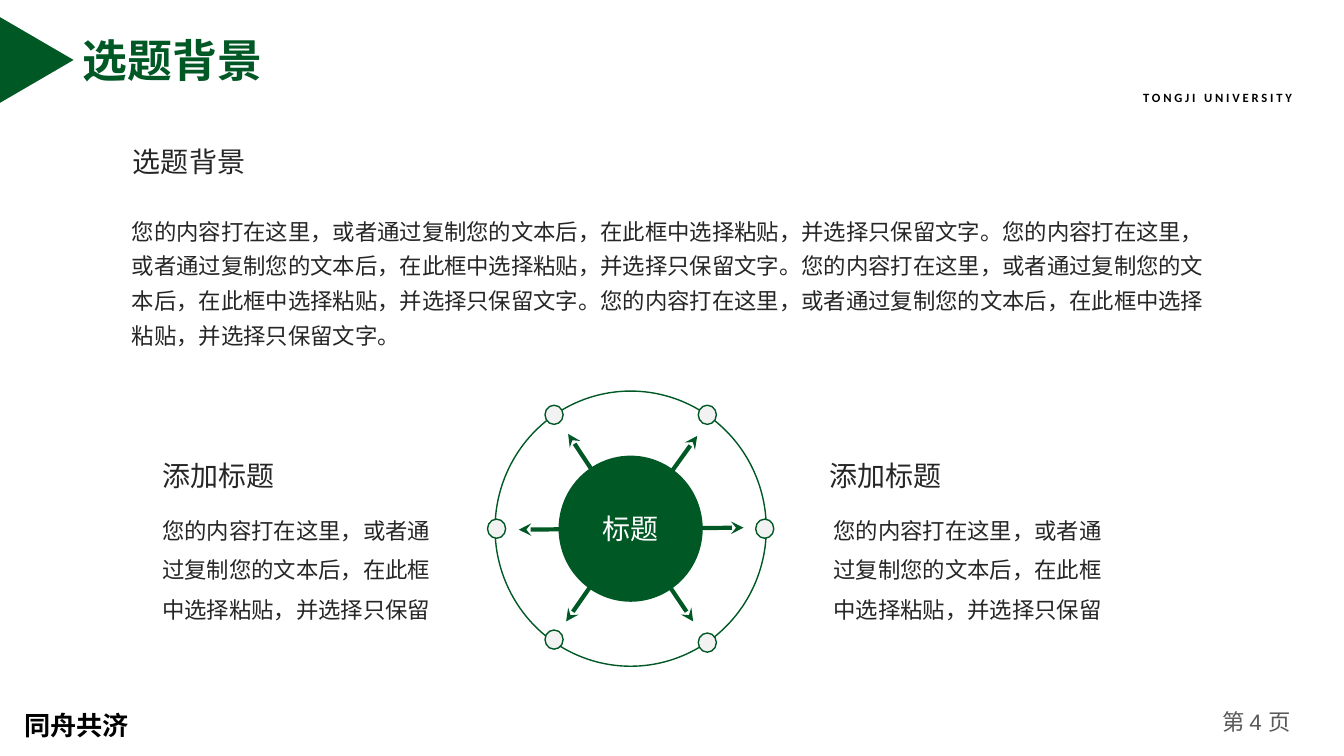
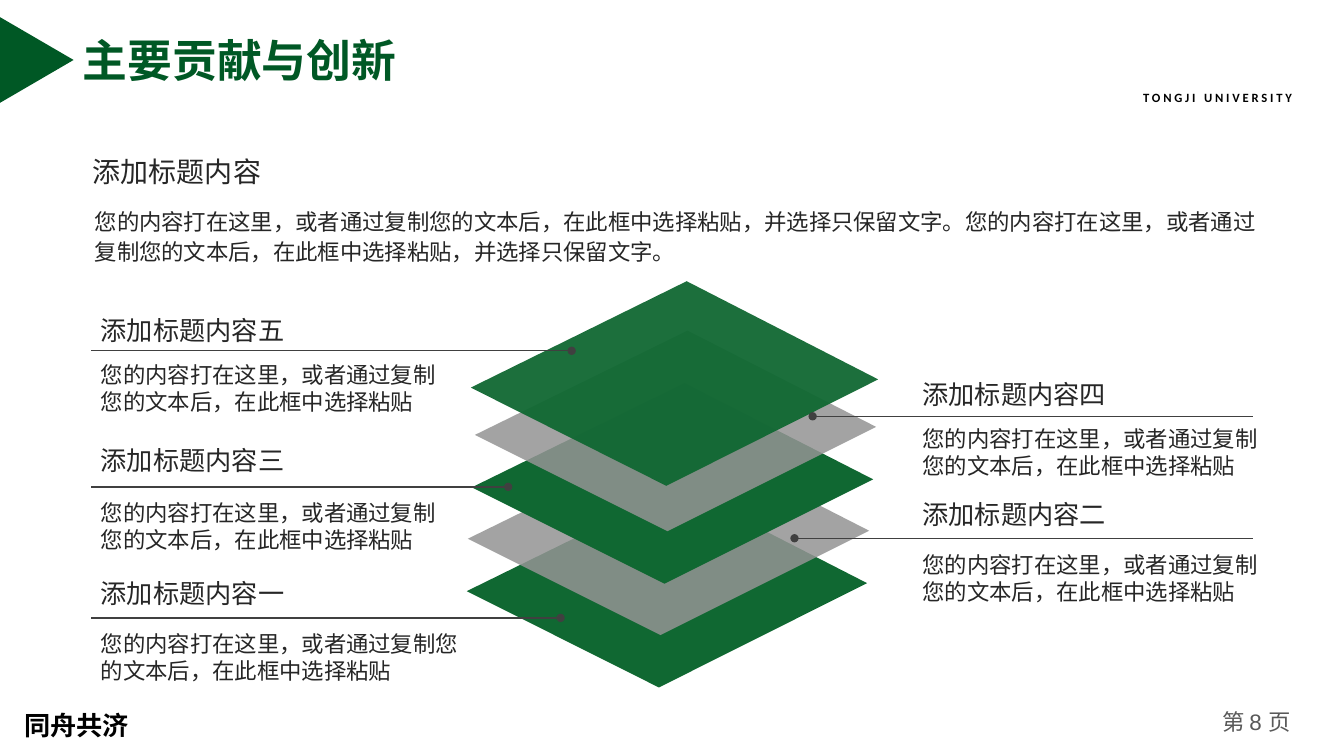
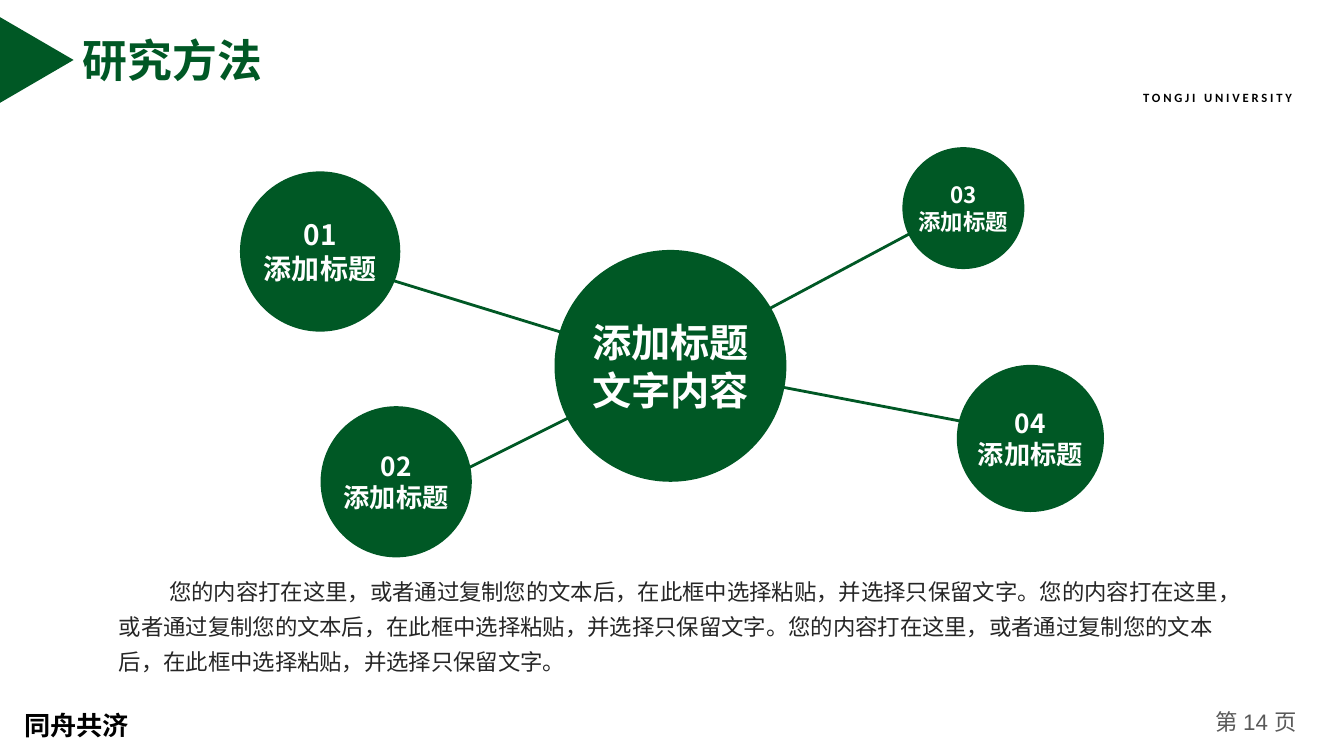
from lxml import etree
from pptx import Presentation
from pptx.dml.color import RGBColor
from pptx.enum import shapes, text
from pptx.oxml import ns
from pptx.util import Inches, Pt

COLORS = {
    "green": "005825", "white": "FFFFFF", "black": "000000",
    "ink": "262626", "rule": "404040", "page": "595959", "dot": "F2F2F2",
    "layer green": "106832", "layer grey": "949494",
}
CJK = "Noto Sans CJK SC"
PASTE = "您的内容打在这里，或者通过复制您的文本后，在此框中选择粘贴"
KEEP = PASTE + "，并选择只保留"
SENTENCE = KEEP + "文字。"
WIDE_INSETS = (0.13, 0.07)
TEXT_INSETS = (0.1, 0.05)


def rgb(name):
    return RGBColor.from_string(COLORS[name])


def add_child(parent, tag, **attributes):
    child = etree.SubElement(parent, ns.qn(tag))
    for key, value in attributes.items():
        child.set(key, str(value))
    return child


# Text
def write(shape, lines, size, color="ink", bold=False, latin=CJK, align="LEFT",
          spacing=None, insets=TEXT_INSETS, wrap=True, anchor="TOP",
          indent=0, tracking=0):
    frame = shape.text_frame
    frame.text = lines
    frame.word_wrap = wrap
    frame.auto_size = text.MSO_AUTO_SIZE.NONE
    frame.vertical_anchor = getattr(text.MSO_ANCHOR, anchor)
    frame.margin_left = frame.margin_right = Inches(insets[0])
    frame.margin_top = frame.margin_bottom = Inches(insets[1])
    for paragraph in frame.paragraphs:
        paragraph.alignment = getattr(text.PP_ALIGN, align)
        paragraph.space_before = Pt(0)
        if spacing:
            paragraph.line_spacing = spacing
        if indent:
            paragraph._p.get_or_add_pPr().set("indent", str(Inches(indent)))
        font = paragraph.font
        font.size = Pt(size)
        font.bold = bold
        font.color.rgb = rgb(color)
        font.name = latin
        add_child(font._element, "a:ea", typeface=CJK)
        if tracking:
            font._element.set("spc", str(tracking * 100))


def add_text(slide, box, lines, size, **style):
    shape = slide.shapes.add_textbox(*map(Inches, box))
    write(shape, lines, size, **style)


# Shapes and lines
def paint(shape, fill=None, line=None, alpha=100):
    shape.shadow.inherit = False
    if fill:
        shape.fill.solid()
        shape.fill.fore_color.rgb = rgb(fill)
        if alpha < 100:
            color = shape._element.spPr.find(".//" + ns.qn("a:srgbClr"))
            add_child(color, "a:alpha", val=alpha * 1000)
    else:
        shape.fill.background()
    if line:
        shape.line.color.rgb = rgb(line)
        shape.line.width = Pt(1)
    else:
        shape.line.fill.background()


def add_ellipse(slide, center, width, height, **style):
    x, y = center
    shape = slide.shapes.add_shape(
        shapes.MSO_SHAPE.OVAL, Inches(x - width / 2), Inches(y - height / 2),
        Inches(width), Inches(height))
    paint(shape, **style)
    return shape


def add_line(slide, start, end, color, width, head=None, tail=None):
    connector = slide.shapes.add_connector(
        shapes.MSO_CONNECTOR.STRAIGHT, *map(Inches, (*start, *end)))
    connector.line.color.rgb = rgb(color)
    connector.line.width = Pt(width)
    properties = connector._element.spPr
    outline = properties.find(ns.qn("a:ln"))
    if head:
        add_child(outline, "a:headEnd", type=head)
    if tail:
        add_child(outline, "a:tailEnd", type=tail)
    add_child(properties, "a:effectLst")


# Shared frame: title, triangle, school name, motto, page number
def add_framed_slide(presentation, title, title_width, page):
    slide = presentation.slides.add_slide(presentation.slide_layouts[5])
    heading = slide.shapes.title
    heading.left, heading.top = Inches(0.69), Inches(0.26)
    heading.width, heading.height = Inches(title_width), Inches(0.67)
    write(heading, title, 32, color="green", bold=True, insets=WIDE_INSETS,
          wrap=False, anchor="MIDDLE")
    triangle = slide.shapes.add_shape(
        shapes.MSO_SHAPE.ISOSCELES_TRIANGLE,
        *map(Inches, (-0.06, 0.23, 0.85, 0.73)))
    triangle.rotation = 90
    paint(triangle, fill="green")
    add_text(slide, (11.24, 0.84, 1.92, 0.24), "TONGJI UNIVERSITY", 9,
             color="black", bold=True, latin="Calibri", tracking=2)
    add_text(slide, (0.14, 6.83, 1.37, 0.53), "同舟共济", 18.7,
             color="black", bold=True, spacing=1.5)
    add_text(slide, (11.86, 6.98, 1.2, 0.4), f"第 {page} 页", 16,
             color="page", latin="Arial", align="CENTER")
    return slide


# Background slide
def add_ring(slide, box):
    left, top, width, height = box
    x, y = left + width / 2, top + height / 2
    # Each spoke: offset of the dot, offset of the arrow tip
    spokes = [
        ((0.76, -1.13), (0.66, -0.92)), ((-0.76, -1.13), (-0.62, -0.94)),
        ((-1.33, 0), (-1.11, 0.01)), ((1.33, 0), (1.12, -0.01)),
        ((0.76, 1.13), (0.62, 0.92)), ((-0.76, 1.1), (-0.64, 0.92)),
    ]
    add_ellipse(slide, (x, y), width, height, line="green")
    for (dot_x, dot_y), (tip_x, tip_y) in spokes:
        add_ellipse(slide, (x + dot_x, y + dot_y), 0.18, 0.19,
                    fill="dot", line="green")
        add_line(slide, (x, y), (x + tip_x, y + tip_y), "green", 3,
                 tail="stealth")
    hub = add_ellipse(slide, (x, y), 1.43, 1.45, fill="green")
    write(hub, "标题", 20, color="white", align="CENTER", anchor="MIDDLE",
          wrap=False)


def add_background_slide(presentation):
    slide = add_framed_slide(presentation, "选题背景", 2.06, 4)
    add_text(slide, (1.22, 1.38, 1.32, 0.44), "选题背景", 20, wrap=False)
    add_text(slide, (1.21, 2.03, 10.93, 1.82), SENTENCE * 4, 16, spacing=1.3)
    add_ring(slide, (4.91, 3.88, 2.69, 2.73))
    for heading_left, body_left in ((1.51, 1.51), (8.13, 8.17)):
        add_text(slide, (heading_left, 4.5, 1.32, 0.44), "添加标题", 20,
                 wrap=False)
        add_text(slide, (body_left, 4.96, 2.99, 1.23), KEEP, 16,
                 spacing=Pt(28))


# Contribution slide
def add_layer(slide, box, fill, alpha):
    left, top, width, height = box
    corners = [(0, 0.52), (0.53, 0), (1, 0.48), (0.48, 1)]
    points = [(Inches(left + x * width), Inches(top + y * height))
              for x, y in corners]
    builder = slide.shapes.build_freeform(*points[0])
    builder.add_line_segments(points[1:], close=True)
    paint(builder.convert_to_shape(), fill=fill, alpha=alpha)


def add_callout(slide, left, tops, body_width, number, dot, edge):
    heading_top, rule_y, body_top = tops
    add_line(slide, (dot, rule_y), (edge, rule_y), "rule", 1, head="oval")
    add_text(slide, (left, heading_top, 2.6, 0.45), "添加标题内容" + number,
             18.7, insets=WIDE_INSETS)
    add_text(slide, (left, body_top, body_width, 0.67), PASTE, 16,
             insets=WIDE_INSETS)


def add_contribution_slide(presentation):
    slide = add_framed_slide(presentation, "主要贡献与创新", 3.41, 8)
    add_text(slide, (0.79, 1.46, 1.95, 0.47), "添加标题内容", 20,
             insets=WIDE_INSETS, wrap=False)
    add_text(slide, (0.81, 1.97, 11.84, 0.71), SENTENCE * 2, 16,
             spacing=1.1, insets=WIDE_INSETS)
    # Stack, bottom layer first
    layers = [
        ((4.63, 4.83, 3.97, 1.99), "layer green", 100),
        ((4.64, 4.31, 3.98, 1.99), "layer grey", 85),
        ((4.68, 3.8, 3.98, 1.99), "layer green", 100),
        ((4.71, 3.28, 3.98, 1.99), "layer grey", 85),
        ((4.67, 2.79, 4.04, 2.03), "layer green", 95),
    ]
    for layer in layers:
        add_layer(slide, *layer)
    # Callouts: tops of heading, rule and body, body width, number, dot
    left_callouts = [
        ((3.05, 3.48, 3.51), 3.61, "五", 5.67),
        ((4.34, 4.83, 4.88), 3.61, "三", 5.04),
        ((5.66, 6.13, 6.18), 3.82, "一", 5.56),
    ]
    right_callouts = [
        ((3.68, 4.13, 4.15), 3.65, "四", 8.06),
        ((4.87, 5.34, 5.4), 3.65, "二", 7.88),
    ]
    for callout in left_callouts:
        add_callout(slide, 0.87, *callout, edge=0.9)
    for callout in right_callouts:
        add_callout(slide, 9.02, *callout, edge=12.43)


# Method slide
def add_bubble(slide, box, lines, size):
    left, top, diameter = box
    center = (left + diameter / 2, top + diameter / 2)
    bubble = add_ellipse(slide, center, diameter, diameter, fill="green")
    write(bubble, lines, size, color="white", bold=True, align="CENTER",
          insets=(0, 0), wrap=False, anchor="MIDDLE")


def add_method_slide(presentation):
    slide = add_framed_slide(presentation, "研究方法", 2.06, 14)
    spokes = [
        ((3.66, 2.71), (6.62, 3.62)), ((4.49, 4.72), (6.63, 3.65)),
        ((6.53, 3.65), (9.32, 2.16)), ((6.6, 3.62), (10.22, 4.31)),
    ]
    for start, end in spokes:
        add_line(slide, start, end, "green", 2)
    add_bubble(slide, (5.5, 2.48, 2.3), "添加标题\n文字内容", 28)
    bubbles = [
        ((2.38, 1.7, 1.59), 20), ((3.18, 4.03, 1.5), 18.7),
        ((8.95, 1.46, 1.21), 16), ((9.49, 3.62, 1.46), 18.7),
    ]
    for number, (box, size) in enumerate(bubbles, 1):
        add_bubble(slide, box, f"{number:02}\n添加标题", size)
    add_text(slide, (1.08, 5.61, 11.13, 1.12), SENTENCE * 3, 16,
             spacing=1.3, indent=0.5)


def main():
    presentation = Presentation()
    presentation.slide_width = Inches(13.33)
    presentation.slide_height = Inches(7.5)
    add_background_slide(presentation)
    add_contribution_slide(presentation)
    add_method_slide(presentation)
    presentation.save("out.pptx")


if __name__ == "__main__":
    main()
